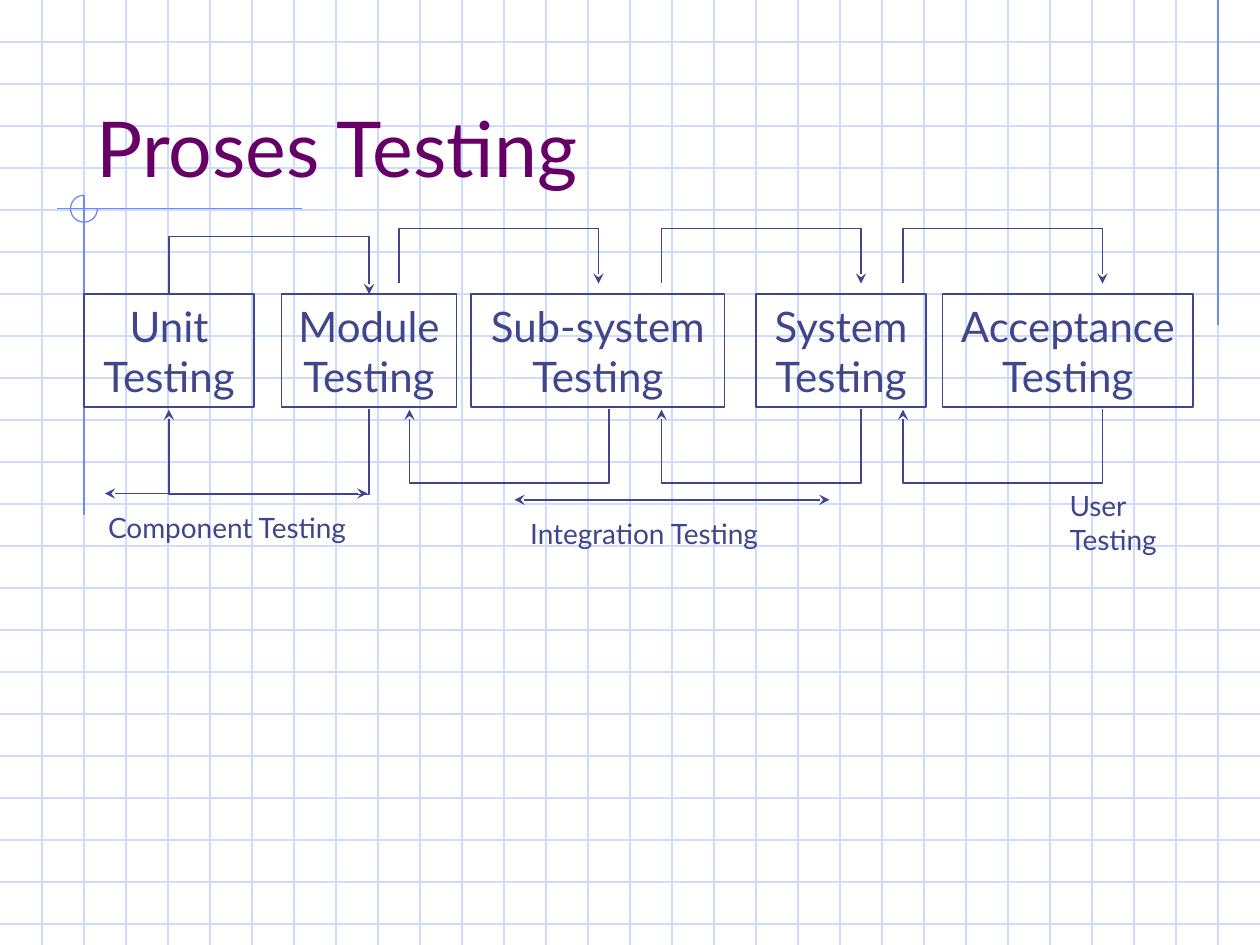
from dataclasses import dataclass

from pptx import Presentation
from pptx.dml.color import RGBColor
from pptx.enum.shapes import MSO_CONNECTOR, MSO_SHAPE
from pptx.enum.text import MSO_ANCHOR, MSO_AUTO_SIZE, PP_ALIGN
from pptx.oxml.ns import qn
from pptx.util import Inches, Length, Pt
from lxml.etree import SubElement

FONT = "Lato"
INK = "40458C"
GRID = "CFDBFD"
ACCENT = "6F89F7"
TITLE = "660066"
COLUMNS, ROWS = 30, 22.5
BEND_UNIT = 0.01


@dataclass
class Stage:
    name: str
    column: float
    width: float


@dataclass
class Link:
    start: float
    end: float
    row: float
    depth: float


@dataclass
class Label:
    text: str
    column: float
    row: float
    width: float
    height: float


@dataclass
class Rule:
    start: tuple[float, float]
    end: tuple[float, float]
    color: str
    width: float = 0.75
    heads: tuple[str, ...] = ()


STAGES = [
    Stage("Unit", 2, 4.05),
    Stage("Module", 6.7, 4.17),
    Stage("Sub-system", 11.22, 6.03),
    Stage("System", 18, 4.05),
    Stage("Acceptance", 22.44, 5.97),
]
FORWARD = [
    Link(4.02, 8.79, 7, 1.44),
    Link(9.5, 14.25, 6.75, 1.38),
    Link(15.75, 20.5, 6.75, 1.38),
    Link(21.5, 26.25, 6.75, 1.38),
]
BACK = [
    Link(4.02, 8.79, 9.75, 2.15),
    Link(9.75, 14.5, 9.75, 1.86),
    Link(15.75, 20.5, 9.75, 1.86),
    Link(21.5, 26.25, 9.75, 1.86),
]
LABELS = [
    Label("Component Testing", 2.28, 12, 6.75, 1.11),
    Label("Integration Testing", 12.33, 12.15, 6.6, 1.11),
    Label("User\nTesting", 25.17, 11.49, 2.88, 1.92),
]
ACCENTS = [
    Rule((29, 0), (29, 7.75), ACCENT),
    Rule((7.2, 4.97), (1.35, 4.97), ACCENT),
    Rule((2, 4.65), (2, 12.27), ACCENT),
]
SPANS = [
    Rule((2.5, 11.75), (8.75, 11.75), INK, 1, ("headEnd", "tailEnd")),
    Rule((12.25, 11.9), (19.75, 11.9), INK, 1, ("headEnd", "tailEnd")),
]


def cells(count: float) -> Length:
    return Inches(count / 3)


def color_of(value: str) -> RGBColor:
    return RGBColor.from_string(value)


def style_line(connector, color: str, width: float, heads: tuple[str, ...]) -> None:
    connector.line.color.rgb = color_of(color)
    connector.line.width = Pt(width)
    properties = connector._element.spPr
    for head in heads:
        SubElement(properties.find(qn("a:ln")), qn(f"a:{head}"), type="stealth")
    SubElement(properties, qn("a:effectLst"))


def draw_rule(page, rule: Rule) -> None:
    ends = [cells(value) for value in rule.start + rule.end]
    connector = page.shapes.add_connector(MSO_CONNECTOR.STRAIGHT, *ends)
    style_line(connector, rule.color, rule.width, rule.heads)


def draw_link(page, link: Link, forward: bool) -> None:
    span = link.end - link.start
    left = (link.start + link.end - BEND_UNIT) / 2
    top = link.row - span / 2
    connector = page.shapes.add_connector(
        MSO_CONNECTOR.ELBOW,
        cells(left), cells(top), cells(left + BEND_UNIT), cells(top + span),
    )
    style_line(connector, INK, 1, ("tailEnd",))
    frame = connector._element.spPr.find(qn("a:xfrm"))
    frame.set("rot", str((270 if forward else 90) * 60000))
    if forward:
        frame.set("flipH", "1")
    bend = round(link.depth / BEND_UNIT * 100000) * (-1 if forward else 1)
    adjustments = connector._element.spPr.find(qn("a:prstGeom")).find(qn("a:avLst"))
    SubElement(adjustments, qn("a:gd"), name="adj1", fmla=f"val {bend}")


def write(box, text: str, size: float, color: str, align: PP_ALIGN) -> None:
    box.text_frame.text = text
    for paragraph in box.text_frame.paragraphs:
        paragraph.alignment = align
        for span in paragraph.runs:
            span.font.name = FONT
            span.font.size = Pt(size)
            span.font.color.rgb = color_of(color)


def fit_to_text(box) -> None:
    box.text_frame.word_wrap = False
    box.text_frame.auto_size = MSO_AUTO_SIZE.SHAPE_TO_FIT_TEXT


def draw_stage(page, stage: Stage) -> None:
    box = page.shapes.add_shape(
        MSO_SHAPE.RECTANGLE, cells(stage.column), cells(7), cells(stage.width), cells(2.7)
    )
    box.shadow.inherit = False
    box.fill.background()
    box.line.color.rgb = color_of(INK)
    box.line.width = Pt(1)
    write(box, f"{stage.name}\nTesting", 24, INK, PP_ALIGN.CENTER)
    box.text_frame.vertical_anchor = MSO_ANCHOR.TOP
    fit_to_text(box)


def draw_label(page, label: Label) -> None:
    box = page.shapes.add_textbox(
        cells(label.column), cells(label.row), cells(label.width), cells(label.height)
    )
    write(box, label.text, 16, INK, PP_ALIGN.LEFT)
    fit_to_text(box)


def draw_background(page) -> None:
    for row in range(1, int(ROWS) + 1):
        draw_rule(page, Rule((0, row), (COLUMNS, row), GRID))
    for column in range(1, COLUMNS):
        draw_rule(page, Rule((column, 0), (column, ROWS), GRID))
    for rule in ACCENTS:
        draw_rule(page, rule)
    arc = page.shapes.add_shape(
        MSO_SHAPE.ARC, cells(1.68), cells(4.65), cells(0.64), cells(0.64)
    )
    arc.adjustments[0] = 0
    arc.adjustments[1] = 162
    arc.shadow.inherit = False
    arc.fill.background()
    arc.line.color.rgb = color_of(ACCENT)
    arc.line.width = Pt(0.75)


def place_title(page) -> None:
    title = page.shapes.title
    title.left, title.top = cells(2), cells(1)
    title.width, title.height = cells(25.5), cells(3.75)
    write(title, "Proses Testing", 44, TITLE, PP_ALIGN.LEFT)
    title.text_frame.vertical_anchor = MSO_ANCHOR.BOTTOM
    title.text_frame.auto_size = MSO_AUTO_SIZE.NONE
    page.shapes._spTree.append(title._element)


def main() -> None:
    deck = Presentation()
    deck.slide_width, deck.slide_height = cells(COLUMNS), cells(ROWS)
    page = deck.slides.add_slide(deck.slide_layouts[5])
    draw_background(page)
    place_title(page)
    for stage in STAGES:
        draw_stage(page, stage)
    for link in FORWARD:
        draw_link(page, link, True)
    for link in BACK:
        draw_link(page, link, False)
    for label in LABELS:
        draw_label(page, label)
    for rule in SPANS:
        draw_rule(page, rule)
    deck.save("out.pptx")


if __name__ == "__main__":
    main()
